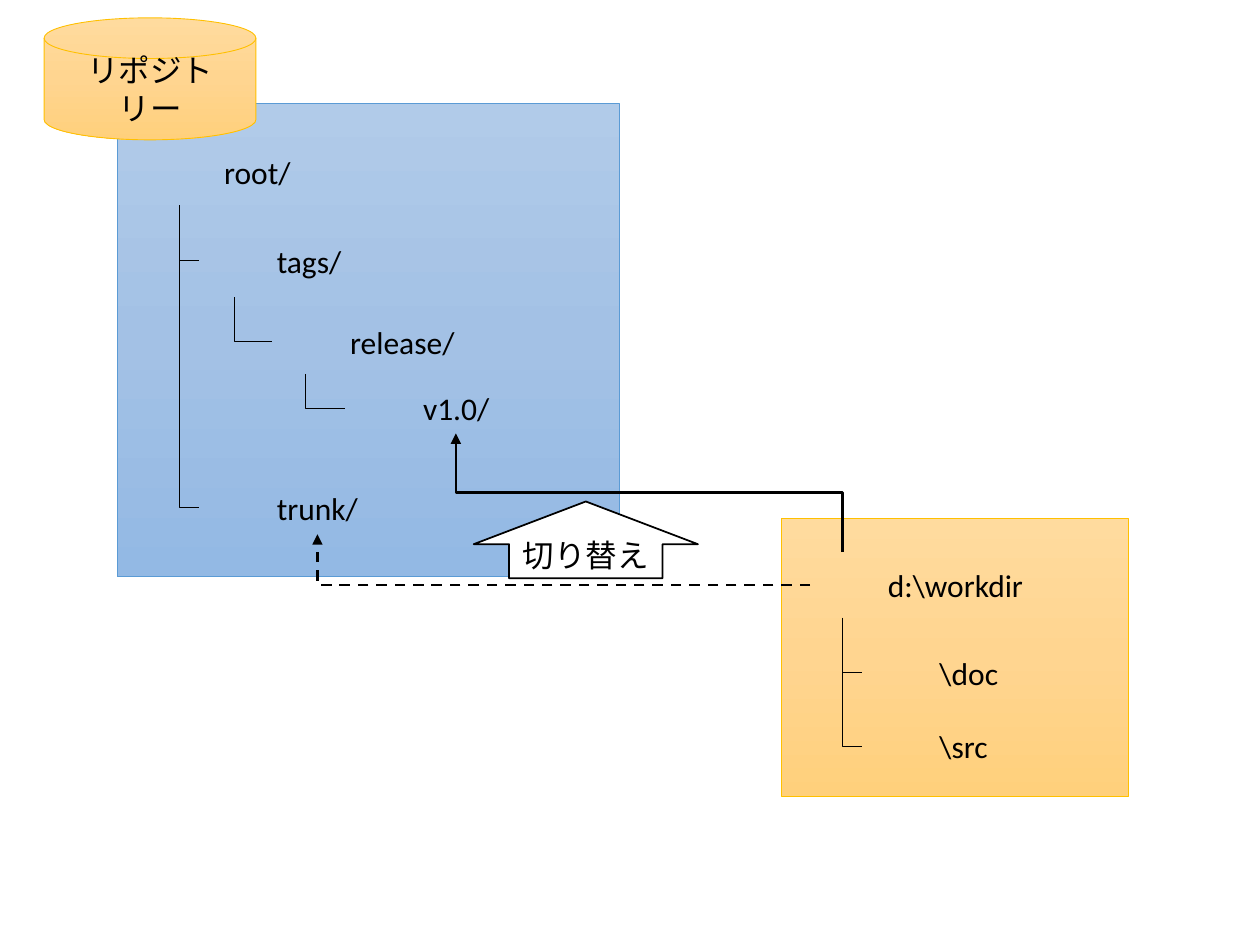
from copy import deepcopy
from typing import NamedTuple, Optional

from lxml import etree
from pptx import Presentation
from pptx import util as u
from pptx.dml.color import RGBColor
from pptx.enum import dml, shapes, text
from pptx.oxml.ns import qn

BLUE = ("B1CBE9", "A3C1E5", "93B9E4")
ORANGE = ("FFDB9E", "FFD590", "FFD07C")
BLACK = "000000"


class Block(NamedTuple):
    kind: shapes.MSO_SHAPE
    box: tuple[float, float, float, float]
    fill: tuple[str, ...]
    line: str
    line_width: float
    caption: str = ""
    adjustments: tuple[float, ...] = ()


class Label(NamedTuple):
    name: str
    left: float
    top: float
    width: float


class Elbow(NamedTuple):
    start: tuple[float, float]
    end: tuple[float, float]
    preset: str = "bentConnector2"
    rotation: int = 270
    flip: Optional[str] = "flipH"
    width: float = 0.5
    dashed: bool = False
    arrow: bool = False


# Containers, from back to front
REPOSITORY_AREA = Block(shapes.MSO_SHAPE.RECTANGLE, (2.36, 2.08, 10.13, 9.55), BLUE, "5B9BD5", 0.5)
REPOSITORY = Block(shapes.MSO_SHAPE.FLOWCHART_MAGNETIC_DISK, (0.89, 0.36, 4.27, 2.46),
                   ORANGE, "FFC000", 0.5, "リポジトリー")
WORK_AREA = Block(shapes.MSO_SHAPE.RECTANGLE, (15.75, 10.46, 7.01, 5.59), ORANGE, "FFC000", 0.5)
SWITCH = Block(shapes.MSO_SHAPE.UP_ARROW, (9.55, 10.11, 4.52, 1.55),
               ("FFFFFF",), BLACK, 1, "切り替え", (0.684, 0.556))

FOLDERS = [
    Label("root/", 4.27, 2.97, 1.85),
    Label("tags/", 5.33, 4.75, 1.83),
    Label("trunk/", 5.33, 9.73, 2.16),
    Label("release/", 6.81, 6.38, 2.64),
    Label("v1.0/", 8.28, 7.72, 1.85),
    Label("d:\\workdir", 17.65, 11.28, 3.35),
    Label("\\doc", 18.69, 13.06, 1.78),
    Label("\\src", 18.69, 14.53, 1.57),
]

BRANCHES = [
    Elbow((3.61, 4.14), (4.01, 5.26)),
    Elbow((3.61, 4.14), (4.01, 10.24)),
    Elbow((4.72, 5.99), (5.49, 6.88)),
    Elbow((6.15, 7.54), (6.96, 8.23)),
    Elbow((16.99, 12.45), (17.37, 13.56)),
    Elbow((16.99, 12.62), (17.37, 15.04)),
]

# Links from the working directory: the old one to trunk, the new one to v1.0
LINKS = [
    Elbow((16.33, 11.79), (6.4, 10.77), rotation=180, flip=None, width=1.5,
          dashed=True, arrow=True),
    Elbow((16.99, 11.13), (9.19, 8.74), "bentConnector3", flip="flipV", width=1.5, arrow=True),
]


def rgb(value: str) -> RGBColor:
    return RGBColor.from_string(value)


def write(frame, content: str) -> None:
    frame.text = content
    for run in frame.paragraphs[0].runs:
        run.font.size = u.Pt(18)
        run.font.name = "Calibri"
        run.font.color.rgb = rgb(BLACK)


def fill_gradient(shape, colors: tuple[str, ...]) -> None:
    shape.fill.gradient()
    shape.fill.gradient_angle = 270
    stop_list = shape._element.spPr.find(qn("a:gradFill")).find(qn("a:gsLst"))
    stop_list.insert(1, deepcopy(stop_list[0]))
    for index, (stop, color) in enumerate(zip(shape.fill.gradient_stops, colors)):
        stop.position = index / (len(colors) - 1)
        stop.color.rgb = rgb(color)


def draw_block(slide, block: Block) -> None:
    shape = slide.shapes.add_shape(block.kind, *map(u.Cm, block.box))
    shape.shadow.inherit = False
    for index, value in enumerate(block.adjustments):
        shape.adjustments[index] = value
    if len(block.fill) > 1:
        fill_gradient(shape, block.fill)
    else:
        shape.fill.solid()
        shape.fill.fore_color.rgb = rgb(block.fill[0])
    shape.line.color.rgb = rgb(block.line)
    shape.line.width = u.Pt(block.line_width)
    if block.caption:
        write(shape.text_frame, block.caption)
        shape.text_frame.vertical_anchor = text.MSO_ANCHOR.MIDDLE
        shape.text_frame.paragraphs[0].alignment = text.PP_ALIGN.CENTER


def draw_label(slide, label: Label) -> None:
    box = slide.shapes.add_textbox(u.Cm(label.left), u.Cm(label.top), u.Cm(label.width), u.Cm(1.02))
    box.text_frame.word_wrap = False
    box.text_frame.auto_size = text.MSO_AUTO_SIZE.SHAPE_TO_FIT_TEXT
    write(box.text_frame, label.name)


def draw_elbow(slide, elbow: Elbow) -> None:
    (x1, y1), (x2, y2) = elbow.start, elbow.end
    width, height = abs(x2 - x1), abs(y2 - y1)
    if elbow.rotation == 270:  # the frame is given before its quarter turn
        width, height = height, width
    left, top = (x1 + x2 - width) / 2, (y1 + y2 - height) / 2
    line = slide.shapes.add_connector(shapes.MSO_CONNECTOR.ELBOW, u.Cm(left), u.Cm(top),
                                      u.Cm(left + width), u.Cm(top + height))
    line.line.color.rgb = rgb(BLACK)
    line.line.width = u.Pt(elbow.width)
    if elbow.dashed:
        line.line.dash_style = dml.MSO_LINE.DASH
    properties = line._element.spPr
    properties.find(qn("a:prstGeom")).set("prst", elbow.preset)
    frame = properties.find(qn("a:xfrm"))
    frame.set("rot", str(elbow.rotation * 60000))
    if elbow.flip:
        frame.set(elbow.flip, "1")
    if elbow.arrow:
        etree.SubElement(properties.find(qn("a:ln")), qn("a:tailEnd"), type="triangle")
    etree.SubElement(properties, qn("a:effectLst"))


def main() -> None:
    presentation = Presentation()
    presentation.slide_width, presentation.slide_height = u.Cm(25.4), u.Cm(19.05)
    slide = presentation.slides.add_slide(presentation.slide_layouts[6])

    for block in (REPOSITORY_AREA, REPOSITORY, WORK_AREA):
        draw_block(slide, block)
    for label in FOLDERS:
        draw_label(slide, label)
    for elbow in BRANCHES + LINKS:
        draw_elbow(slide, elbow)
    draw_block(slide, SWITCH)

    presentation.save("out.pptx")


if __name__ == "__main__":
    main()
